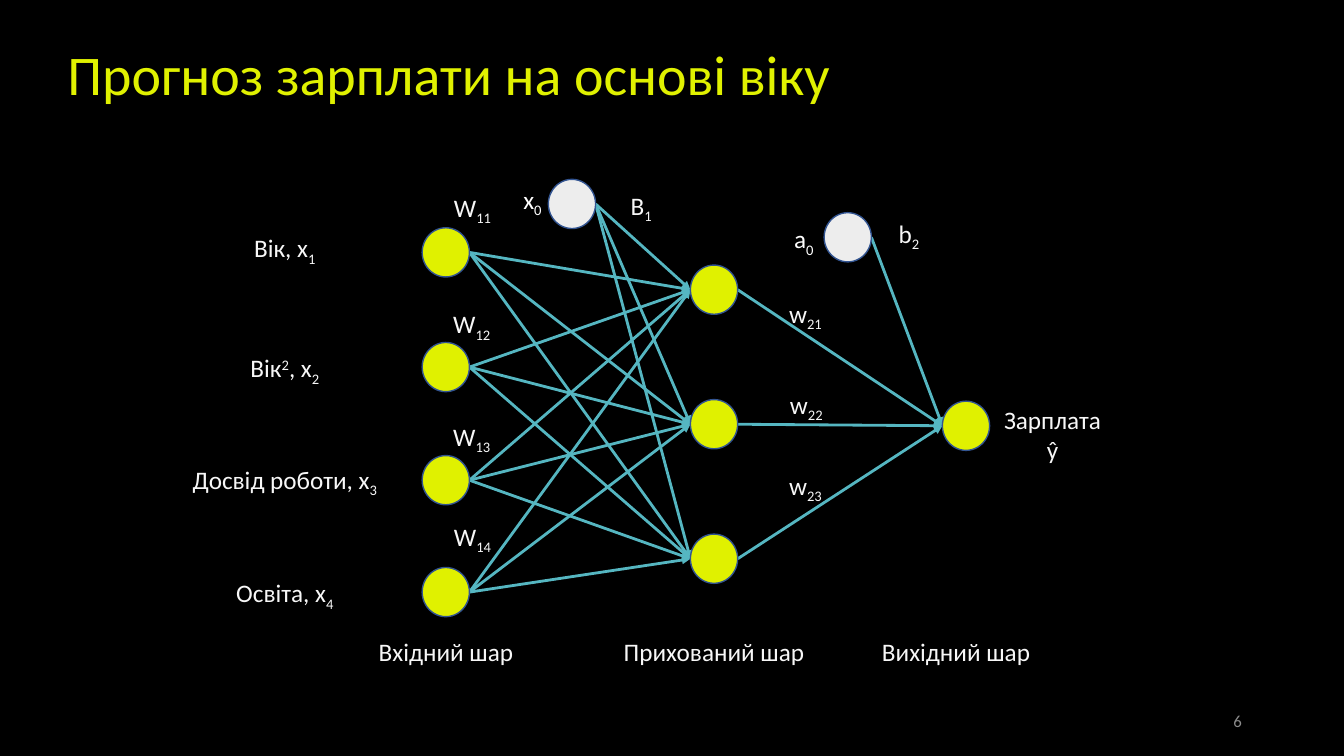
from itertools import product

from lxml import etree
from pptx import Presentation
from pptx.dml.color import RGBColor
from pptx.enum import shapes, text
from pptx.oxml.ns import qn
from pptx.util import Cm, Pt

COLOURS = {
    "background": "000000", "neuron": "E0F100", "bias": "EDEDED",
    "outline": "325491", "arrow": "55B6C1", "label": "F7F7F7",
    "bias_label": "FFFFFF", "number": "8C8C8C",
}
NODE_WIDTH, NODE_HEIGHT = 1.19, 1.24
BASELINES = {"_": "-25000", "^": "30000"}


def rgb(name):
    return RGBColor.from_string(COLOURS[name])


def add_label(left, top, width, lines, colour="label", size=18,
              align=text.PP_ALIGN.CENTER):
    """Pieces are split by |; a leading _ lowers and ^ raises a piece."""
    box = page.shapes.add_textbox(Cm(left), Cm(top), Cm(width), Cm(1.02))
    frame = box.text_frame
    frame.word_wrap = False
    for index, line in enumerate(lines.split("\n")):
        para = frame.add_paragraph() if index else frame.paragraphs[0]
        para.alignment = align
        para.font.name, para.font.size = "Calibri", Pt(size)
        para.font.color.rgb = rgb(colour)
        for piece in line.split("|"):
            span = para.add_run()
            span.text = piece.lstrip("_^")
            if piece[0] in BASELINES:
                span._r.get_or_add_rPr().set("baseline", BASELINES[piece[0]])
    return frame


deck = Presentation()
deck.slide_width, deck.slide_height = Cm(33.87), Cm(19.05)
page = deck.slides.add_slide(deck.slide_layouts[5])
page.background.fill.solid()
page.background.fill.fore_color.rgb = rgb("background")

# Title
title = page.shapes.title
title.left, title.top, title.width, title.height = Cm(1.57), Cm(1.07), Cm(32.3), Cm(2.39)
frame = title.text_frame
frame.text = "Прогноз зарплати на основі віку"
frame.vertical_anchor = text.MSO_ANCHOR.TOP
frame.margin_left = frame.margin_right = frame.margin_top = frame.margin_bottom = Cm(0.13)
para = frame.paragraphs[0]
para.alignment, para.line_spacing = text.PP_ALIGN.LEFT, 0.9
para.font.name, para.font.size = "Calibri", Pt(40)
para.font.color.rgb = rgb("neuron")

# Left and top of the nodes in each layer
inputs = [(10.64, top) for top in (5.74, 8.63, 11.48, 14.3)]
hidden = [(17.4, 6.68 + 3.39 * row) for row in range(3)]
output = [(23.75, 10.11)]
input_bias = [(13.82, 4.52)]
hidden_bias = [(20.77, 5.36)]

# Arrows from the right side of a node to the left side of the next
links = [*product(inputs + input_bias, hidden), *product(hidden + hidden_bias, output)]
for (start_x, start_y), (end_x, end_y) in links:
    arrow = page.shapes.add_connector(
        shapes.MSO_CONNECTOR.STRAIGHT,
        Cm(start_x + NODE_WIDTH), Cm(start_y + NODE_HEIGHT / 2),
        Cm(end_x), Cm(end_y + NODE_HEIGHT / 2))
    arrow.line.color.rgb = rgb("arrow")
    arrow.line.width = Pt(2)
    etree.SubElement(arrow.line._get_or_add_ln(), qn("a:tailEnd"), type="triangle")
    etree.SubElement(arrow._element.spPr, qn("a:effectLst"))

# Nodes
for colour, nodes in (("neuron", inputs + hidden + output),
                      ("bias", input_bias + hidden_bias)):
    for left, top in nodes:
        node = page.shapes.add_shape(shapes.MSO_SHAPE.OVAL, Cm(left), Cm(top),
                                     Cm(NODE_WIDTH), Cm(NODE_HEIGHT))
        node.shadow.inherit = False
        node.fill.solid()
        node.fill.fore_color.rgb = rgb(colour)
        node.line.color.rgb = rgb("outline")
        node.line.width = Pt(1)

# Input names
for top, name in ((5.74, "Вік, x|_1"), (8.76, "Вік|^2|, x|_2"),
                  (11.58, "Досвід роботи, x|_3"), (14.43, "Освіта, x|_4")):
    add_label(4.27, top, 5.82, name)

# Weights and bias weights
for left, top, name in (
        (11.07, 4.72, "W|_11"), (11.05, 7.65, "W|_12"),
        (11.05, 10.49, "W|_13"), (11.07, 13, "W|_14"),
        (19.46, 7.39, "w|_21"), (19.48, 9.68, "w|_22"), (19.46, 11.73, "w|_23"),
        (15.32, 4.67, "B|_1"), (22.07, 5.38, "b|_2")):
    add_label(left, top, 1.68, name)

# Bias names
add_label(11.73, 4.52, 3.38, "x|_0", "bias_label")
add_label(18.57, 5.51, 3.38, "a|_0", "bias_label")

# Output and layer names
add_label(25.04, 10.06, 2.97, "Зарплата\nŷ")
for left, width, name in ((9.27, 3.94, "Вхідний шар"), (15.44, 5.11, "Прихований шар"),
                          (21.95, 4.29, "Вихідний шар")):
    add_label(left, 15.92, width, name)

# Page number
number = add_label(23.93, 17.65, 7.62, "6", "number", 12, text.PP_ALIGN.RIGHT)
number.word_wrap = True
number.vertical_anchor = text.MSO_ANCHOR.MIDDLE

deck.save("out.pptx")
